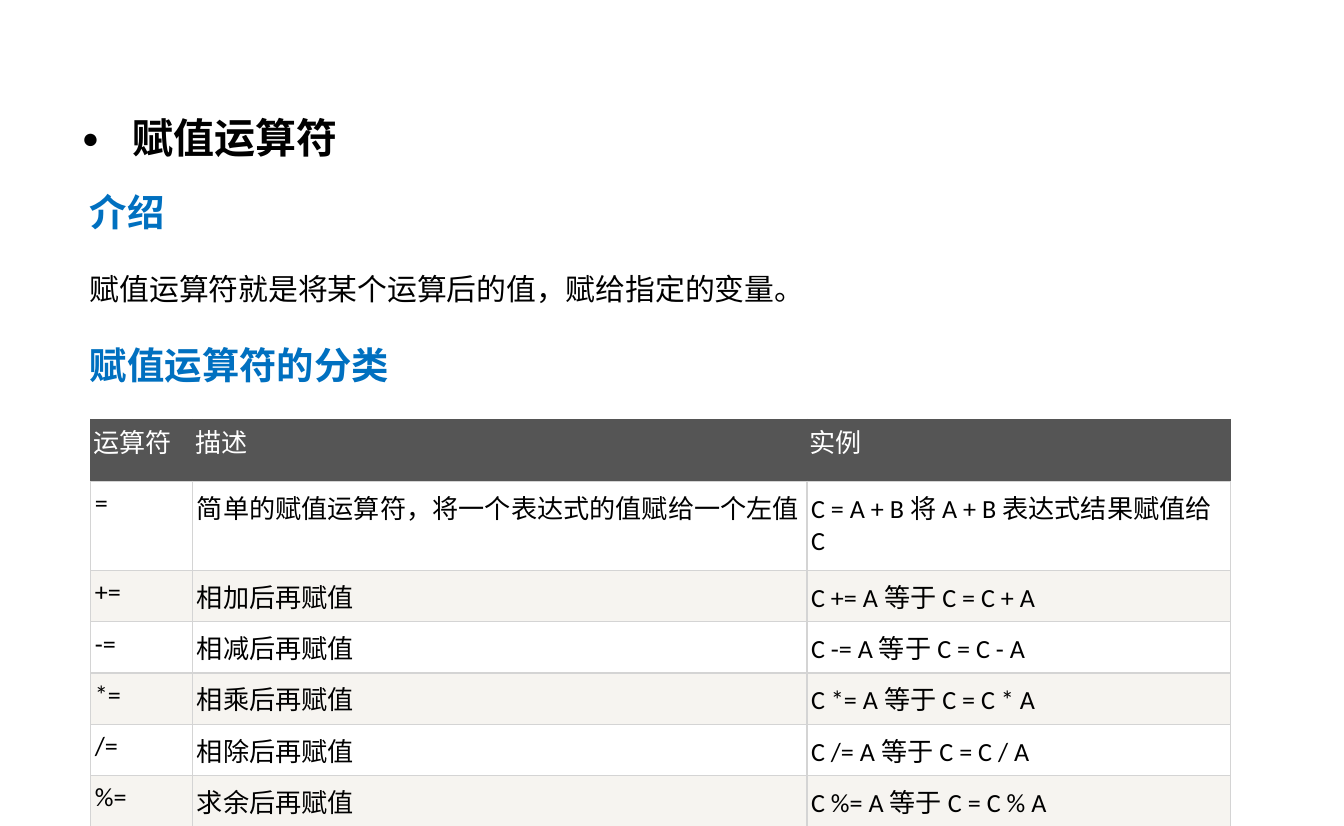
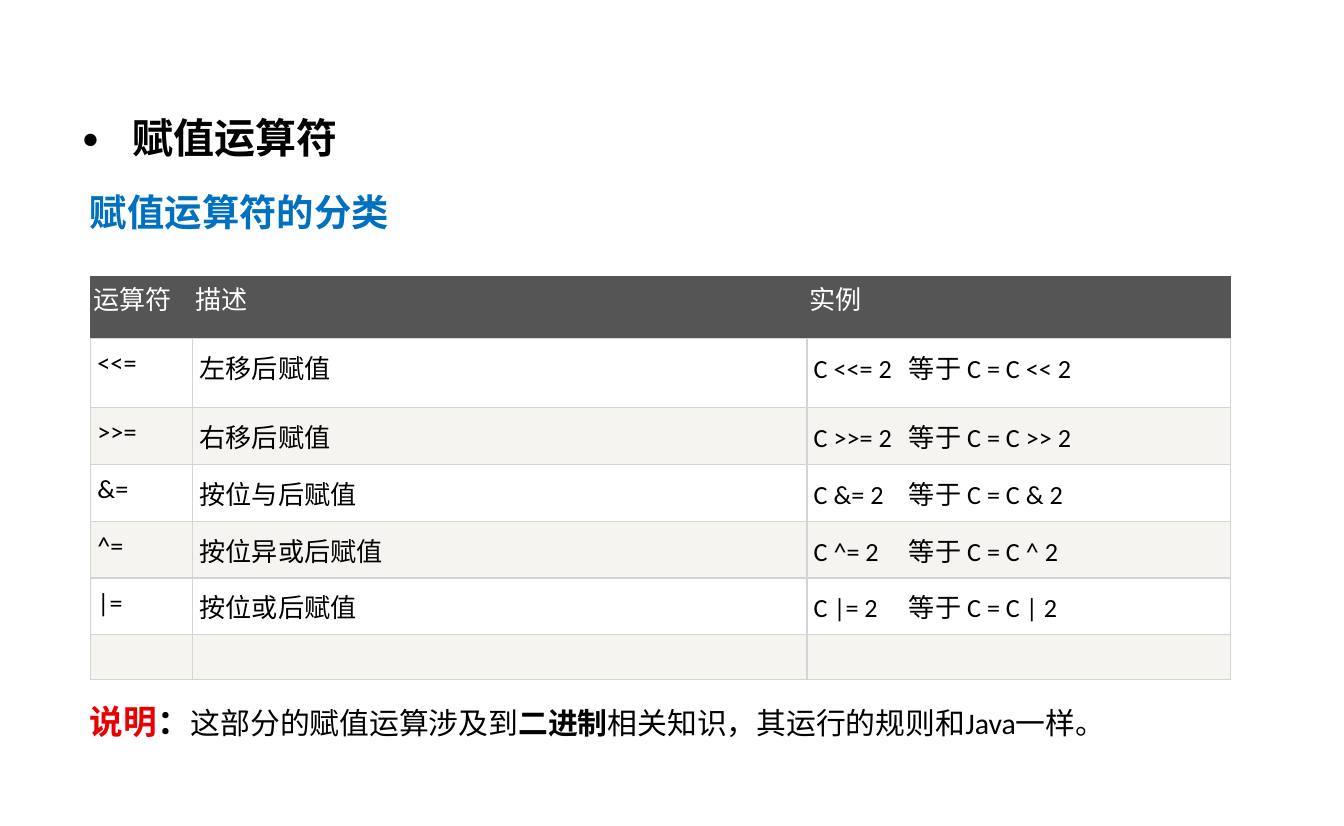
import lxml.etree
import pptx
import pptx.dml.color
import pptx.enum.text
import pptx.oxml.ns
import pptx.util

Pt = pptx.util.Pt
qn = pptx.oxml.ns.qn
sub = lxml.etree.SubElement

# Shared colours and sizes
BLACK, WHITE, BLUE, RED = "000000", "FFFFFF", "0070C0", "EA0000"
HEADER, BAND, GRID = "555555", "F6F4F0", "D4D4D4"
LINE_GAP = 19.2
COLUMNS = [54.7, 329, 226.8]


def rgb(colour):
    return pptx.dml.color.RGBColor.from_string(colour)


def write(paragraph, text, size=16, font="Calibri", colour=BLACK, bold=False, east_asian=True):
    run = paragraph.add_run()
    run.text = text
    run.font.size, run.font.name, run.font.bold = Pt(size), font, bold
    run.font.color.rgb = rgb(colour)
    if east_asian:
        sub(run.font._element, qn("a:ea"), typeface=font)


heading = dict(size=20, colour=BLUE, bold=True)
arithmetic = {"+=": "相加", "-=": "相减", "*=": "相乘", "/=": "相除", "%=": "求余"}
bitwise = {"<<=": "左移", ">>=": "右移", "&=": "按位与", "^=": "按位异或", "|=": "按位或"}

# Each paragraph is the gap before it, then its runs
pages = [
    dict(
        body_height=230.4,
        paragraphs=[
            (0, [("介绍", heading)]),
            (LINE_GAP, [("赋值运算符就是将某个运算后的值，赋给指定的变量。", {})]),
            (LINE_GAP, [("赋值运算符的分类", heading)]),
        ],
        table_top=224.6,
        row_heights=[33.1, 40.7] + [24.1] * 5,
        insets=(2.2, 3.5),
        rows=[("=", "简单的赋值运算符，将一个表达式的值赋给一个左值",
               "C = A + B 将 A + B 表达式结果赋值给 C")]
        + [(op, f"{name}后再赋值", f"C {op} A 等于 C = C {op[:-1]} A")
           for op, name in arithmetic.items()],
    ),
    dict(
        body_height=303.1,
        paragraphs=[
            (0, [("赋值运算符的分类", heading)]),
            (13 * LINE_GAP, [
                ("说明", dict(size=18, colour=RED, bold=True)),
                ("：", dict(size=18, bold=True)),
                ("这部分的赋值运算涉及到", {}),
                ("二进制", dict(bold=True)),
                ("相关知识，其运行的规则和Java一样。", {}),
            ]),
        ],
        table_top=148,
        row_heights=[33.1, 37.2] + [27.4] * 4 + [24.1],
        insets=(3.6, 5),
        rows=[(op, f"{name}后赋值", f"C {op} 2\t等于 C = C {op[:-1]} 2")
              for op, name in bitwise.items()] + [("", "", "")],
    ),
]

deck = pptx.Presentation()
deck.slide_width, deck.slide_height = Pt(720), Pt(442.25)

for page in pages:
    slide = deck.slides.add_slide(deck.slide_layouts[1])
    slide.background.fill.solid()
    slide.background.fill.fore_color.rgb = rgb(WHITE)

    # Bulleted title and body text
    title, body = slide.shapes.title, slide.placeholders[1]
    boxes = [(title, (36.7, 59.8, 572.4, 31)),
             (body, (41, 97.9, 635.8, page["body_height"]))]
    for box, place in boxes:
        box.left, box.top, box.width, box.height = map(Pt, place)
        box.text_frame.word_wrap = True
        box.text_frame.auto_size = pptx.enum.text.MSO_AUTO_SIZE.NONE
        box.text_frame.vertical_anchor = pptx.enum.text.MSO_ANCHOR.TOP

    topic = title.text_frame.paragraphs[0]
    topic.alignment = pptx.enum.text.PP_ALIGN.LEFT
    topic.line_spacing, topic.space_before = 0.9, Pt(4.4)
    write(topic, "赋值运算符", size=22, font="Arial", bold=True)
    bullet = topic._p.get_or_add_pPr()
    bullet.set("marL", str(Pt(27)))
    bullet.set("indent", str(-Pt(27)))
    sub(sub(bullet, qn("a:buClr")), qn("a:srgbClr"), val=BLACK)
    sub(bullet, qn("a:buSzPct"), val="70000")
    sub(bullet, qn("a:buFont"), typeface="Arial")
    sub(bullet, qn("a:buChar"), char="●")

    for index, (gap, runs) in enumerate(page["paragraphs"]):
        frame = body.text_frame
        paragraph = frame.add_paragraph() if index else frame.paragraphs[0]
        paragraph.space_before, paragraph.line_spacing = Pt(gap), 1.0
        plain = paragraph._p.get_or_add_pPr()
        plain.set("marL", "0")
        plain.set("indent", "0")
        sub(plain, qn("a:buNone"))
        for text, style in runs:
            write(paragraph, text, **style)

    # Operator table
    rows = [("运算符", "描述", "实例")] + page["rows"]
    operators = slide.shapes.add_table(
        len(rows), len(COLUMNS), Pt(48.6), Pt(page["table_top"]),
        Pt(sum(COLUMNS)), Pt(sum(page["row_heights"]))).table
    for column, width in zip(operators.columns, COLUMNS):
        column.width = Pt(width)
    for r, (row, height) in enumerate(zip(rows, page["row_heights"])):
        operators.rows[r].height = Pt(height)
        side, edge = page["insets"] if r else (1.4, 1.4)
        fill = (BAND if r % 2 == 0 else WHITE) if r else HEADER
        for c, text in enumerate(row):
            cell = operators.cell(r, c)
            if text:
                cell.margin_left = cell.margin_right = Pt(side)
                cell.margin_top = cell.margin_bottom = Pt(edge)
            borders = cell._tc.get_or_add_tcPr()
            for name in ("lnL", "lnR", "lnT", "lnB"):
                colour = GRID if r or name == "lnB" else HEADER
                line = sub(borders, qn(f"a:{name}"), w=str(Pt(0.75)))
                sub(sub(line, qn("a:solidFill")), qn("a:srgbClr"), val=colour)
            cell.fill.solid()
            cell.fill.fore_color.rgb = rgb(fill)
            paragraph = cell.text_frame.paragraphs[0]
            if text:
                write(paragraph, text, size=14, colour=BLACK if r else WHITE, east_asian=False)
            else:
                sub(paragraph._p, qn("a:endParaRPr"), sz="1300")
            if "\t" in text:
                stops = sub(paragraph._p.get_or_add_pPr(), qn("a:tabLst"))
                sub(stops, qn("a:tab"), pos=str(Pt(51)), algn="l")

deck.save("out.pptx")
